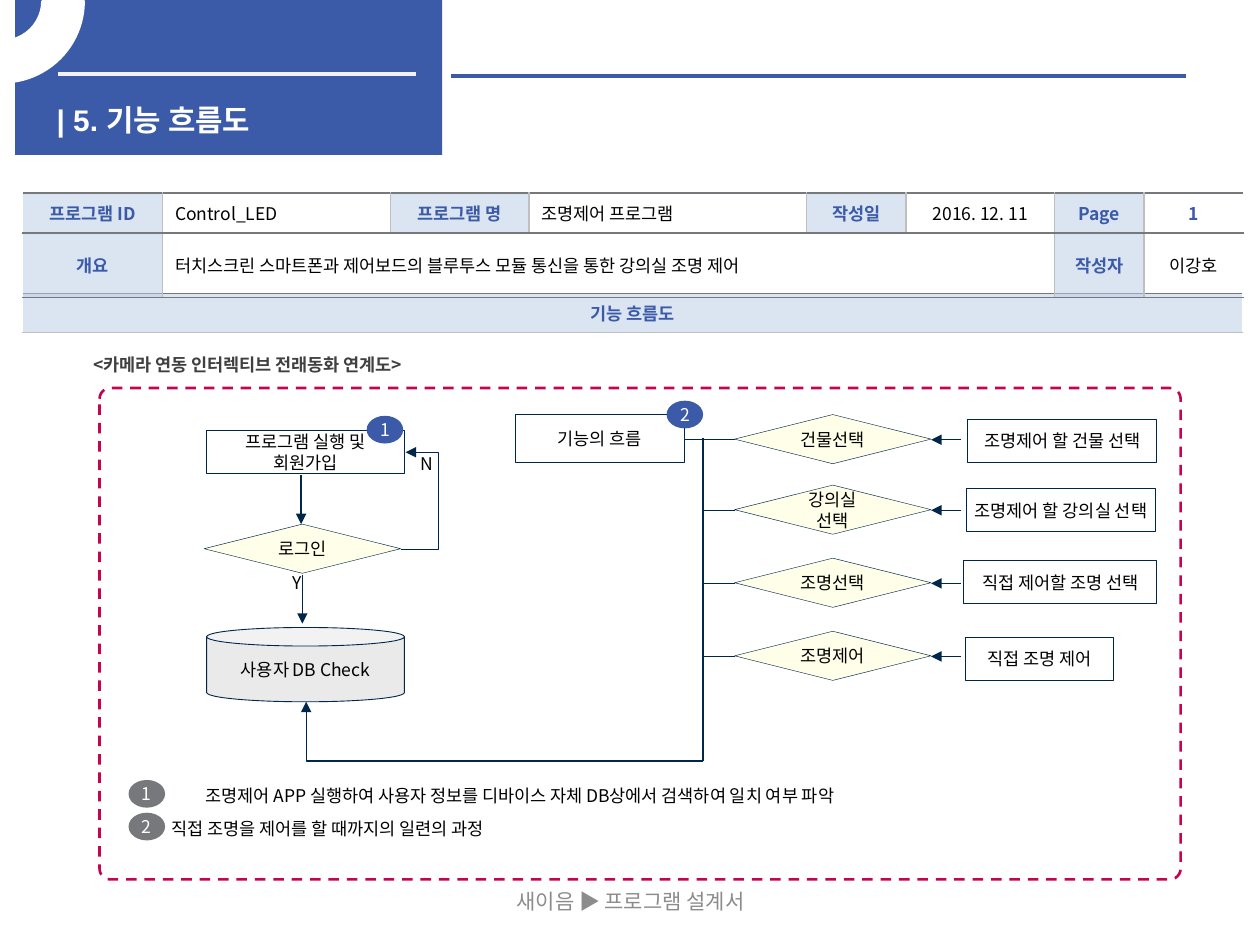
from dataclasses import dataclass

from lxml import etree
from pptx import Presentation
from pptx.dml.color import RGBColor
from pptx.enum.dml import MSO_LINE
from pptx.enum.shapes import MSO_CONNECTOR, MSO_SHAPE
from pptx.enum.text import MSO_ANCHOR, MSO_AUTO_SIZE, PP_ALIGN
from pptx.oxml.ns import qn
from pptx.util import Inches, Pt

LEFT, CENTER = PP_ALIGN.LEFT, PP_ALIGN.CENTER
TOP, MIDDLE = MSO_ANCHOR.TOP, MSO_ANCHOR.MIDDLE
RECTANGLE, OVAL, CAN = MSO_SHAPE.RECTANGLE, MSO_SHAPE.OVAL, MSO_SHAPE.CAN
DECISION, FRAME = MSO_SHAPE.FLOWCHART_DECISION, MSO_SHAPE.ROUNDED_RECTANGLE
BLOCK_ARC = MSO_SHAPE.BLOCK_ARC
STRAIGHT, ELBOW = MSO_CONNECTOR.STRAIGHT, MSO_CONNECTOR.ELBOW
DASH, NO_AUTOFIT = MSO_LINE.DASH, MSO_AUTO_SIZE.NONE
TITLE_ONLY = 5


@dataclass(frozen=True)
class Theme:
    blue: str = "3B5AA8"
    pale_blue: str = "B9CDE5"
    navy: str = "00264C"
    cream: str = "FFFFE9"
    silver: str = "EAEAEA"
    white: str = "FFFFFF"
    off_white: str = "F2F2F2"
    black: str = "000000"
    charcoal: str = "404040"
    gray: str = "77787B"
    light_gray: str = "BFBFBF"
    footer_gray: str = "8C8C8C"
    crimson: str = "C40452"
    font: str = "Noto Sans CJK KR"
    latin_font: str = "Arial"
    title_size: float = 17
    footer_size: float = 12
    body_size: float = 10


THEME = Theme()


def color(value):
    return RGBColor.from_string(value)


def grid(*cells):
    return [Inches(cell / 10) for cell in cells]


def write_text(frame, text, size=THEME.body_size, font=THEME.font, ink=THEME.black,
               bold=False, align=CENTER, spacing=None, before=None):
    paragraph = frame.paragraphs[0]
    paragraph.alignment = align
    paragraph.line_spacing = spacing
    paragraph.space_before = before
    run = paragraph.add_run()
    run.text = text
    run.font.size, run.font.bold, run.font.name = Pt(size), bold, font
    run.font.color.rgb = color(ink)
    etree.SubElement(run.font._element, qn("a:ea")).set("typeface", THEME.font)


class FlowSlide:
    def __init__(self, presentation, theme):
        self.theme = theme
        self.slide = presentation.slides.add_slide(presentation.slide_layouts[TITLE_ONLY])
        self.shapes = self.slide.shapes

    def title(self, text, bounds):
        shape = self.shapes.title
        shape.left, shape.top, shape.width, shape.height = grid(*bounds)
        self.shapes._spTree.append(shape._element)
        shape.text_frame.auto_size = NO_AUTOFIT
        shape.text_frame.vertical_anchor = TOP
        write_text(shape.text_frame, text, size=self.theme.title_size, bold=True,
                   font=self.theme.latin_font, ink=self.theme.white, align=LEFT)

    def label(self, text, bounds, wrap=False, anchor=TOP, **style):
        frame = self.shapes.add_textbox(*grid(*bounds)).text_frame
        frame.word_wrap, frame.vertical_anchor = wrap, anchor
        write_text(frame, text, **style)

    def shape(self, kind, bounds, text=None, fill=None, line=None, weight=0.5,
              inset=0.05, wrap=True, ink=THEME.black, adjustments=()):
        shape = self.shapes.add_shape(kind, *grid(*bounds))
        shape.shadow.inherit = False
        for index, value in enumerate(adjustments):
            shape.adjustments[index] = value
        if fill:
            shape.fill.solid()
            shape.fill.fore_color.rgb = color(fill)
        else:
            shape.fill.background()
        if line:
            shape.line.color.rgb = color(line)
            shape.line.width = Pt(weight)
        else:
            shape.line.fill.background()
        if text:
            frame = shape.text_frame
            frame.word_wrap, frame.vertical_anchor = wrap, MIDDLE
            frame.margin_left = frame.margin_right = Inches(inset)
            frame.margin_top = frame.margin_bottom = Inches(0.05)
            write_text(frame, text, ink=ink)
        return shape

    def process(self, text, bounds):
        self.shape(RECTANGLE, bounds, text, line=self.theme.navy)

    def decision(self, text, left, top):
        self.shape(DECISION, (left, top, 15.6, 3.9), text, fill=self.theme.cream,
                   line=self.theme.navy, weight=0.25, inset=0.1)

    def badge(self, text, left, top, fill):
        self.shape(OVAL, (left, top, 2.9, 2.2), text, fill=fill, wrap=False,
                   ink=self.theme.white)

    def connector(self, start, end, line=THEME.navy, weight=0.75, arrow=False, kind=STRAIGHT):
        connector = self.shapes.add_connector(kind, *grid(*start, *end))
        connector.line.color.rgb = color(line)
        connector.line.width = Pt(weight)
        properties = connector._element.spPr
        if arrow:
            tail = etree.SubElement(properties.find(qn("a:ln")), qn("a:tailEnd"))
            tail.set("type", "triangle")
        etree.SubElement(properties, qn("a:effectLst"))
        return properties

    def elbow(self, start, end, preset, adjustment=None, **transform):
        properties = self.connector(start, end, arrow=True, kind=ELBOW)
        geometry = properties.find(qn("a:prstGeom"))
        geometry.set("prst", preset)
        if adjustment:
            guides = geometry.find(qn("a:avLst"))
            etree.SubElement(guides, qn("a:gd"), name="adj1", fmla=f"val {adjustment}")
        for name, value in transform.items():
            properties.find(qn("a:xfrm")).set(name, value)

    def table(self, bounds, widths, heights):
        table = self.shapes.add_table(len(heights), len(widths), *grid(*bounds)).table
        table.first_row = table.horz_banding = False
        for column, width in zip(table.columns, grid(*widths)):
            column.width = width
        for row, height in zip(table.rows, grid(*heights)):
            row.height = height
        return table

    def cell(self, cell, text, borders, heading=False, align=CENTER):
        cell.vertical_anchor = MIDDLE
        if heading:
            cell.fill.solid()
            cell.fill.fore_color.rgb = color(self.theme.pale_blue)
            tint = cell._tc.tcPr.find(f".//{qn('a:srgbClr')}")
            etree.SubElement(tint, qn("a:alpha"), val="50000")
        else:
            cell.fill.background()
        for index, (side, line) in enumerate(zip("LRTB", borders)):
            border = etree.Element(qn(f"a:ln{side}"), w=str(Pt(1)))
            solid = etree.SubElement(border, qn("a:solidFill"))
            etree.SubElement(solid, qn("a:srgbClr"), val=line)
            cell._tc.tcPr.insert(index, border)
        if text:
            accent = heading or text == "1"
            write_text(cell.text_frame, text, bold=accent, align=align,
                       ink=self.theme.blue if accent else self.theme.black)


def add_header(page):
    page.shape(RECTANGLE, (1.2, 0, 33.9, 12.3), fill=THEME.blue)
    page.connector((4.6, 5.9), (33, 5.9), THEME.off_white, 2.25)
    page.connector((35.8, 6), (94.1, 6), THEME.blue, 2.25)
    page.title("| 5. 기능 흐름도", (3.5, 7.6, 30.7, 3.2))
    arc = page.shape(BLOCK_ARC, (-6.3, -6.3, 12.9, 12.8), fill=THEME.white,
                     line=THEME.white, weight=2, adjustments=(161.587, 0, 0.25))
    arc._element.spPr.find(qn("a:xfrm")).set("flipV", "1")
    page.label("새이음 ▶ 프로그램 설계서", (34.2, 69.5, 31.7, 4), wrap=True, anchor=MIDDLE,
               size=THEME.footer_size, ink=THEME.footer_gray)


def add_tables(page):
    white, gray, light = THEME.white, THEME.gray, THEME.light_gray
    section = page.table((1.8, 23.3, 96.8, 44.6), [96.8], [3.1, 41.5])
    page.cell(section.cell(0, 0), "기능 흐름도", (white, white, gray, light), heading=True)
    page.cell(section.cell(1, 0), "", (white, white, light, white))

    rows = (("프로그램 ID", "Control_LED", "프로그램 명", "조명제어 프로그램",
             "작성일", "2016. 12. 11", "Page", "1"),
            ("개요", "터치스크린 스마트폰과 제어보드의 블루투스 모듈 통신을 통한 강의실 조명 제어",
             "", "", "", "", "작성자", "이강호"))
    headings = ("프로그램 ID", "프로그램 명", "작성일", "Page", "개요", "작성자")
    table = page.table((1.8, 15.3, 96.9, 8.3),
                       [11.1, 18.1, 11, 22, 7.9, 11.8, 7.1, 7.9], [3.2, 5.1])
    for row, texts in enumerate(rows):
        for column, text in enumerate(texts):
            left = white if column == 0 else light
            right = white if column == len(texts) - 1 else light
            page.cell(table.cell(row, column), text, (left, right, gray, gray),
                      heading=text in headings, align=LEFT if column in (1, 3) else CENTER)
    table.cell(1, 1).merge(table.cell(1, 5))


def add_login_flow(page):
    page.process("프로그램 실행 및 회원가입", (16.4, 34.2, 15.7, 3.4))
    page.shape(CAN, (16.4, 49.8, 15.7, 5.9), "사용자 DB Check", fill=THEME.silver,
               line=THEME.navy, adjustments=(0.25,))
    page.decision("로그인", 16.2, 41.6)
    page.connector((23.9, 37.7), (23.9, 41.6), arrow=True)
    page.connector((24, 45.6), (24, 49.5), arrow=True)
    page.elbow((31.8, 43.6), (32.2, 35.9), "bentConnector3", adjustment=755500)
    page.label("Y", (22.2, 44.9, 2.8, 2.7))
    page.label("N", (32.3, 35.5, 3.1, 2.7))
    page.badge("1", 29.1, 33, THEME.blue)


def add_control_flow(page):
    trunk = 55.8
    page.process("기능의 흐름", (40.9, 32.9, 13.4, 3.8))
    page.connector((54.4, 34.9), (trunk, 34.9))
    page.connector((trunk, 60.4), (trunk, 34.8))
    page.elbow((24.3, 55.7), (trunk, 60.4), "bentConnector2", rot="10800000")
    steps = (("건물선택", 32.9, "조명제어 할 건물 선택", (76.8, 33.3, 15, 3.4)),
             ("강의실 선택", 38.5, "조명제어 할 강의실 선택", (76.7, 38.8, 15, 3.4)),
             ("조명선택", 44.3, "직접 제어할 조명 선택", (76.5, 44.5, 15.3, 3.4)),
             ("조명제어", 50.1, "직접 조명 제어", (76.6, 50.6, 11.8, 3.4)))
    for choice, top, action, bounds in steps:
        center = top + 2
        page.decision(choice, 58.3, top)
        page.connector((trunk, center), (58.3, center))
        page.connector((76.3, center), (73.9, center), arrow=True)
        page.process(action, bounds)
    page.badge("2", 52.9, 31.8, THEME.blue)


def add_notes(page):
    spaced = {"spacing": 1.2, "before": Pt(2)}
    page.label("<카메라 연동 인터렉티브 전래동화 연계도>", (6.4, 27.3, 54.3, 3), wrap=True,
               bold=True, ink=THEME.charcoal, align=LEFT, **spaced)
    page.shape(FRAME, (7.9, 30.8, 85.8, 39), line=THEME.crimson, weight=1.5,
               adjustments=(0.022,)).line.dash_style = DASH
    page.badge("1", 10.2, 61.9, THEME.gray)
    page.label("조명제어 APP 실행하여 사용자 정보를 디바이스 자체 DB상에서 검색하여 일치 여부 파악",
               (12.2, 61.5, 58.1, 3), **spaced)
    page.badge("2", 10.2, 64.5, THEME.gray)
    page.label("직접 조명을 제어를 할 때까지의 일련의 과정", (12.6, 64.1, 30.2, 3),
               align=LEFT, **spaced)


def main():
    presentation = Presentation()
    presentation.slide_width, presentation.slide_height = grid(100, 75)
    page = FlowSlide(presentation, THEME)
    for add_part in (add_header, add_tables, add_notes, add_login_flow, add_control_flow):
        add_part(page)
    presentation.save("out.pptx")


if __name__ == "__main__":
    main()
